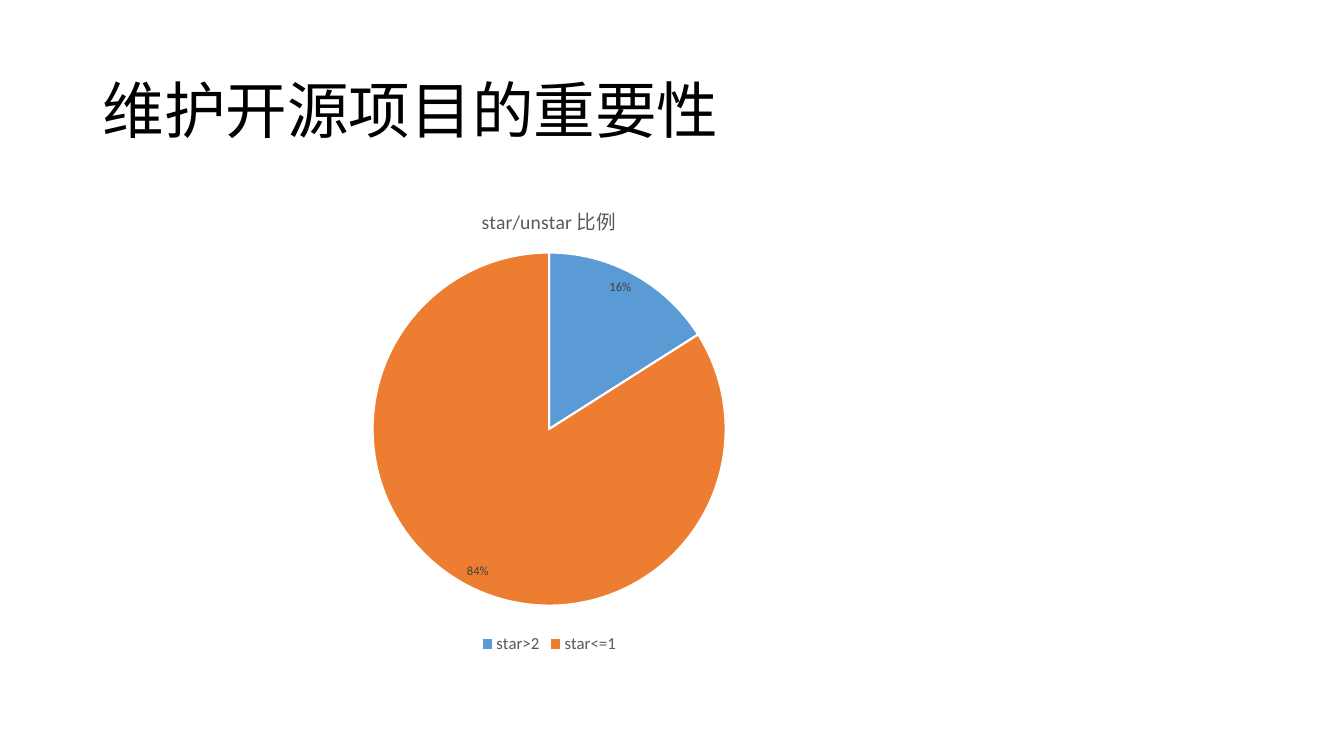
from dataclasses import dataclass

from lxml import etree
from pptx import Presentation
from pptx.chart import data as chart_data
from pptx.dml.color import RGBColor
from pptx.enum import chart as ch, text as tx
from pptx.oxml import ns
from pptx.util import Pt

FONT = "Calibri"
BLACK = RGBColor(0x00, 0x00, 0x00)
WHITE = RGBColor(0xFF, 0xFF, 0xFF)
GREY = RGBColor(0x59, 0x59, 0x59)
DARK_GREY = RGBColor(0x40, 0x40, 0x40)
BLUE = RGBColor(0x5B, 0x9B, 0xD5)
ORANGE = RGBColor(0xED, 0x7D, 0x31)


@dataclass(frozen=True)
class Share:
    name: str
    percent: int
    color: RGBColor


SHARES = (Share("star>2", 16, BLUE), Share("star<=1", 84, ORANGE))
PIE_AREA = {"x": 0.29, "y": 0.14, "w": 0.42, "h": 0.75}


def format_font(font, *, size: float, color: RGBColor) -> None:
    font.name = FONT
    font.size = Pt(size)
    font.bold = False
    font.color.rgb = color


def write_text(frame, content: str, *, size: float, color: RGBColor,
               align=None, line_spacing=None) -> None:
    frame.text = content
    paragraph = frame.paragraphs[0]
    paragraph.alignment = align
    paragraph.line_spacing = line_spacing
    format_font(paragraph.runs[0].font, size=size, color=color)


def place_plot(chart) -> None:
    """Fix the pie's area as fractions of the chart."""
    plot_area = chart.plots[0]._element.getparent()
    layout = plot_area.find(ns.qn("c:layout"))
    if layout is None:
        layout = etree.Element(ns.qn("c:layout"))
        plot_area.insert(0, layout)
    manual = etree.SubElement(layout, ns.qn("c:manualLayout"))
    settings = {"layoutTarget": "inner", "xMode": "edge", "yMode": "edge", **PIE_AREA}
    for tag, value in settings.items():
        etree.SubElement(manual, ns.qn(f"c:{tag}")).set("val", str(value))


def add_star_pie(slide) -> None:
    star_data = chart_data.CategoryChartData()
    star_data.categories = [share.name for share in SHARES]
    star_data.add_series("Series 1", [share.percent for share in SHARES])
    pie = slide.shapes.add_chart(
        ch.XL_CHART_TYPE.PIE, Pt(92), Pt(133), Pt(600.5), Pt(337), star_data).chart
    format_font(pie.font, size=10, color=BLACK)

    pie.has_title = True
    write_text(pie.chart_title.text_frame, "star/unstar 比例", size=14, color=GREY)
    pie.chart_title.include_in_layout = False

    pie.has_legend = True
    pie.legend.position = ch.XL_LEGEND_POSITION.BOTTOM
    pie.legend.include_in_layout = False
    format_font(pie.legend.font, size=12, color=GREY)

    plot = pie.plots[0]
    plot.vary_by_categories = True
    for index, share in enumerate(SHARES):
        slice_format = plot.series[0].points[index].format
        slice_format.fill.solid()
        slice_format.fill.fore_color.rgb = share.color
        slice_format.line.color.rgb = WHITE
        slice_format.line.width = Pt(1.5)

    labels = plot.series[0].data_labels
    labels.show_percentage = True
    labels.show_value = False
    labels.position = ch.XL_LABEL_POSITION.INSIDE_END
    format_font(labels.font, size=9, color=DARK_GREY)
    place_plot(pie)


def main() -> None:
    deck = Presentation()
    deck.slide_width, deck.slide_height = Pt(960), Pt(540)
    slide = deck.slides.add_slide(deck.slide_layouts.get_by_name("Title Only"))

    heading = slide.shapes.title
    heading.left, heading.top = Pt(66), Pt(28.75)
    heading.width, heading.height = Pt(828), Pt(104.4)
    heading.text_frame.vertical_anchor = tx.MSO_ANCHOR.MIDDLE
    write_text(heading.text_frame, "维护开源项目的重要性", size=44, color=BLACK,
               align=tx.PP_ALIGN.LEFT, line_spacing=0.9)
    add_star_pie(slide)
    deck.save("out.pptx")


if __name__ == "__main__":
    main()
